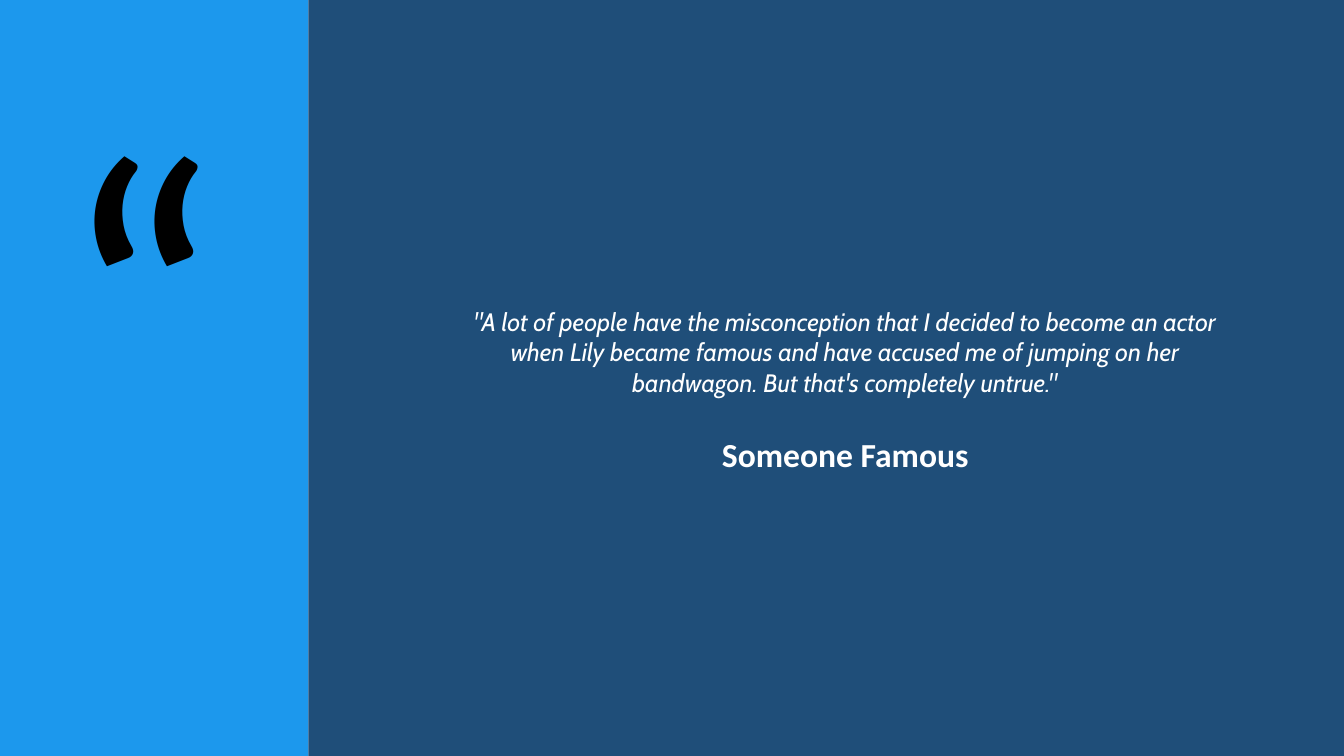
from dataclasses import dataclass

from pptx import Presentation
from pptx.dml.color import RGBColor
from pptx.enum.shapes import MSO_SHAPE
from pptx.enum.text import MSO_ANCHOR, MSO_AUTO_SIZE, PP_ALIGN
from pptx.util import Pt

RECTANGLE = MSO_SHAPE.RECTANGLE
TOP, BOTTOM = MSO_ANCHOR.TOP, MSO_ANCHOR.BOTTOM
LEFT, CENTER = PP_ALIGN.LEFT, PP_ALIGN.CENTER
GROW, FIXED = MSO_AUTO_SIZE.SHAPE_TO_FIT_TEXT, MSO_AUTO_SIZE.NONE


@dataclass(frozen=True)
class Theme:
    sidebar: RGBColor = RGBColor.from_string("1C98ED")
    panel: RGBColor = RGBColor.from_string("1F4E79")
    mark: RGBColor = RGBColor.from_string("000000")
    text: RGBColor = RGBColor.from_string("FFFFFF")
    mark_size: int = 287
    quote_size: int = 18
    author_size: int = 24
    quote_font: str = "Cabin"
    main_font: str = "Calibri"


theme = Theme()
SLIDE_WIDTH, SLIDE_HEIGHT = 960, 540
SIDEBAR_WIDTH = 220.3
MARK_LEFT, MARK_STEP = 36.7, 43.2

deck = Presentation()
deck.slide_width, deck.slide_height = Pt(SLIDE_WIDTH), Pt(SLIDE_HEIGHT)
page = deck.slides.add_slide(deck.slide_layouts[6])


def add_panel(left, width, color):
    panel = page.shapes.add_shape(RECTANGLE, Pt(left), 0, Pt(width), Pt(SLIDE_HEIGHT))
    panel.shadow.inherit = False
    panel.fill.solid()
    panel.fill.fore_color.rgb = color
    panel.line.fill.background()


def add_text(shapes, bounds, text, color, frame_format, alignment, font_format):
    box = shapes.add_textbox(*[Pt(length) for length in bounds])
    for name, value in frame_format.items():
        setattr(box.text_frame, name, value)
    para = box.text_frame.paragraphs[0]
    para.alignment = alignment
    span = para.add_run()
    span.text = text
    for name, value in font_format.items():
        setattr(span.font, name, value)
    span.font.color.rgb = color


add_panel(0, SIDEBAR_WIDTH, theme.sidebar)

quote_mark = page.shapes.add_group_shape()
for index in range(2):
    add_text(
        quote_mark.shapes,
        (MARK_LEFT + index * MARK_STEP, 28.1, 87.1, 355),
        "‘",
        theme.mark,
        {"word_wrap": False, "auto_size": GROW, "vertical_anchor": TOP},
        LEFT,
        {"name": theme.main_font, "size": Pt(theme.mark_size)},
    )

add_panel(SIDEBAR_WIDTH, SLIDE_WIDTH - SIDEBAR_WIDTH, theme.panel)

add_text(
    page.shapes,
    (316.1, 216, 574.6, 74.9),
    "\"A lot of people have the misconception that I decided to become an actor "
    "when Lily became famous and have accused me of jumping on her bandwagon. "
    "But that's completely untrue.\"",
    theme.text,
    {
        "word_wrap": True,
        "auto_size": FIXED,
        "vertical_anchor": BOTTOM,
        "margin_top": Pt(7.2),
        "margin_bottom": Pt(7.2),
    },
    CENTER,
    {"name": theme.quote_font, "size": Pt(theme.quote_size), "italic": True},
)

add_text(
    page.shapes,
    (123.8, 306.7, SLIDE_WIDTH, 36),
    "Someone Famous",
    theme.text,
    {"word_wrap": True, "auto_size": GROW, "vertical_anchor": TOP},
    CENTER,
    {"name": theme.main_font, "size": Pt(theme.author_size), "bold": True},
)

deck.save("out.pptx")
